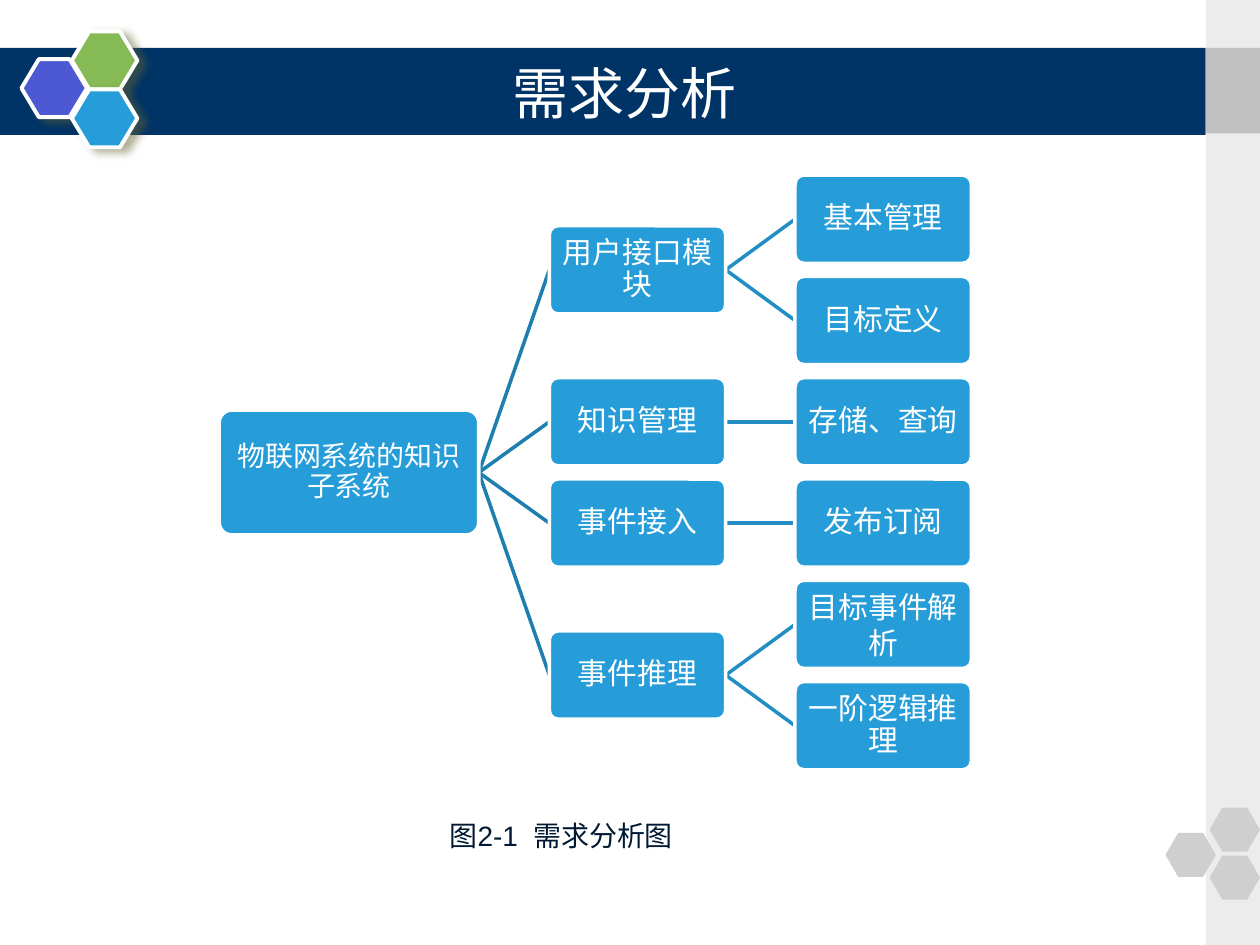
import pptx
import pptx.util
import pptx.dml.color
import pptx.enum.shapes
import pptx.enum.text
import pptx.oxml
import pptx.oxml.ns
from dataclasses import dataclass

Inches = pptx.util.Inches
Pt = pptx.util.Pt
Kind = pptx.enum.shapes.MSO_SHAPE
CENTER = pptx.enum.text.PP_ALIGN.CENTER
MIDDLE = pptx.enum.text.MSO_ANCHOR.MIDDLE


@dataclass(frozen=True)
class Theme:
    navy: str = "003366"
    violet: str = "4C59D2"
    green: str = "85BA54"
    blue: str = "269DD8"
    trunk: str = "1E7EAD"
    twig: str = "228EC4"
    white: str = "FFFFFF"
    ink: str = "001933"
    pale: str = "ECECEC"
    gray: str = "C0C0C0"
    mist: str = "CFCFCF"
    shade: str = "666633"
    font: str = "DejaVu Sans"
    latin: str = "Arial"
    head: int = 32
    root: int = 16
    node: int = 17
    note: int = 16


theme = Theme()
rgb = pptx.dml.color.RGBColor.from_string

deck = pptx.Presentation()
deck.slide_width, deck.slide_height = Inches(10), Inches(7.5)
slide = deck.slides.add_slide(deck.slide_layouts[5])
shapes = slide.shapes


def draw(kind, left, top, width, height, fill, edge=0):
    """Add a flat filled shape, with a white outline if edge is given."""
    shape = shapes.add_shape(kind, Inches(left), Inches(top), Inches(width), Inches(height))
    shape.shadow.inherit = False
    shape.fill.solid()
    shape.fill.fore_color.rgb = rgb(fill)
    if edge:
        shape.line.color.rgb = rgb(theme.white)
        shape.line.width = Pt(edge)
    else:
        shape.line.fill.background()
    return shape


def write(frame, text, size, color, font=theme.font):
    para = frame.paragraphs[0]
    run = para.add_run()
    run.text = text
    run.font.size = Pt(size)
    run.font.name = font
    run.font.color.rgb = rgb(color)
    return para


# Header band, side strip and hexagon clusters
draw(Kind.RECTANGLE, -0.03, 0.38, 9.6, 0.69, theme.navy)
for left, top, fill in [(0.17, 0.47, theme.violet), (0.57, 0.25, theme.green),
                        (0.57, 0.71, theme.blue)]:
    cell = draw(Kind.HEXAGON, left, top, 0.52, 0.46, fill, 2.25)
    cell.adjustments[0] = 0.3
    effects = cell.element.spPr.find(pptx.oxml.ns.qn("a:effectLst"))
    effects.append(pptx.oxml.parse_xml(
        f'<a:outerShdw {pptx.oxml.ns.nsdecls("a")} blurRad="{Pt(5)}" dist="{Pt(4.5)}" '
        f'dir="{28 * 60000}" algn="ctr" rotWithShape="0"><a:srgbClr val="{theme.shade}">'
        '<a:alpha val="50000"/></a:srgbClr></a:outerShdw>'))

draw(Kind.RECTANGLE, 9.57, 0, 0.43, 7.5, theme.pale)
draw(Kind.RECTANGLE, 9.57, 0.38, 0.43, 0.68, theme.gray)
for left, top in [(9.25, 6.61), (9.6, 6.41), (9.6, 6.79)]:
    draw(Kind.HEXAGON, left, top, 0.4, 0.35, theme.mist).adjustments[0] = 0.29

# Title, brought in front of the band
title = shapes.title
title.left, title.top = Inches(1.25), Inches(0.42)
title.width, title.height = Inches(7.42), Inches(0.62)
title.text_frame.vertical_anchor = MIDDLE
write(title.text_frame, "需求分析", theme.head, theme.white).alignment = CENTER
title.element.getparent().append(title.element)

# Tree: each branch sits at the middle of its leaves
tree = [
    ("用户接口模块", ["基本管理", "目标定义"]),
    ("知识管理", ["存储、查询"]),
    ("事件接入", ["发布订阅"]),
    ("事件推理", ["目标事件解析", "一阶逻辑推理"]),
]
first, last = 1.74, 5.76
count = sum(len(leaves) for name, leaves in tree)
step = (last - first) / (count - 1)
root_x, branch_x, leaf_x = 1.74, 4.36, 6.31
root_w, root_h, node_w, node_h = 2.06, 0.99, 1.4, 0.7
root_y = (first + last) / 2

nodes = [("物联网系统的知识子系统", root_x, root_y, root_w, root_h, theme.root)]
links = []
row = 0
for name, leaves in tree:
    y = first + step * (row + (len(leaves) - 1) / 2)
    nodes.append((name, branch_x, y, node_w, node_h, theme.node))
    links.append((root_x + root_w, root_y, branch_x, y, theme.trunk))
    for leaf in leaves:
        leaf_y = first + step * row
        nodes.append((leaf, leaf_x, leaf_y, node_w, node_h, theme.node))
        links.append((branch_x + node_w, y, leaf_x, leaf_y, theme.twig))
        row += 1

for x1, y1, x2, y2, color in links:
    link = shapes.add_connector(pptx.enum.shapes.MSO_CONNECTOR.STRAIGHT,
                                Inches(x1), Inches(y1), Inches(x2), Inches(y2))
    link.line.color.rgb = rgb(color)
    link.line.width = Pt(2)
    link.element.spPr.append(pptx.oxml.parse_xml(
        f'<a:effectLst {pptx.oxml.ns.nsdecls("a")}/>'))

for name, x, y, width, height, size in nodes:
    node = draw(Kind.ROUNDED_RECTANGLE, x, y - height / 2, width, height, theme.blue, 2)
    node.adjustments[0] = 0.1
    frame = node.text_frame
    frame.word_wrap = True
    frame.vertical_anchor = MIDDLE
    frame.margin_left = frame.margin_right = Inches(0.01)
    frame.margin_top = frame.margin_bottom = Inches(0.03)
    para = write(frame, name, size, theme.white)
    para.alignment = CENTER
    para.line_spacing = 1.0 if name == "目标事件解析" else 0.9

# Caption
note = shapes.add_textbox(Inches(3.47), Inches(6.45), Inches(2), Inches(0.37))
note.text_frame.word_wrap = True
write(note.text_frame, "图2-1  需求分析图", theme.note, theme.ink, theme.latin)

deck.save("out.pptx")
